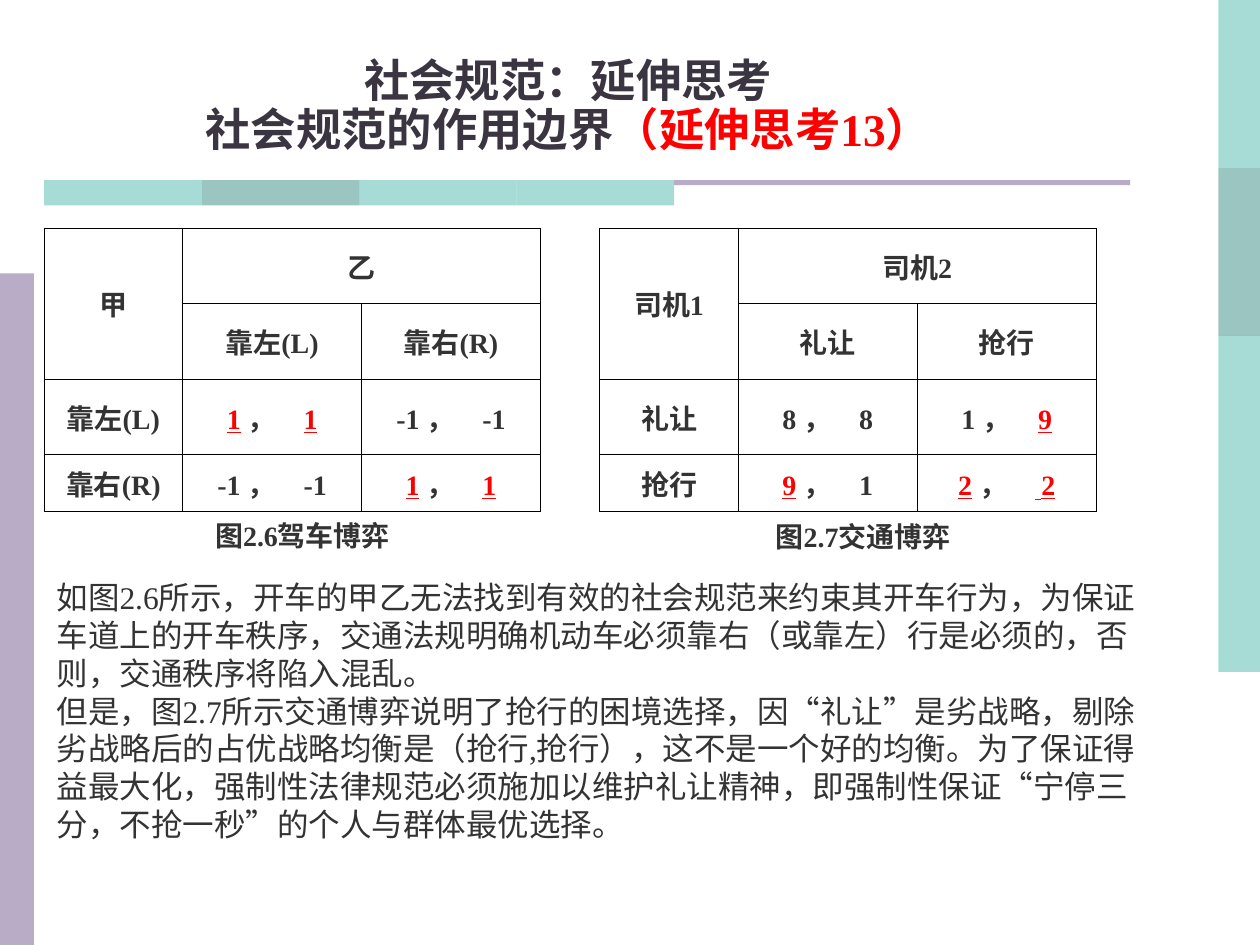
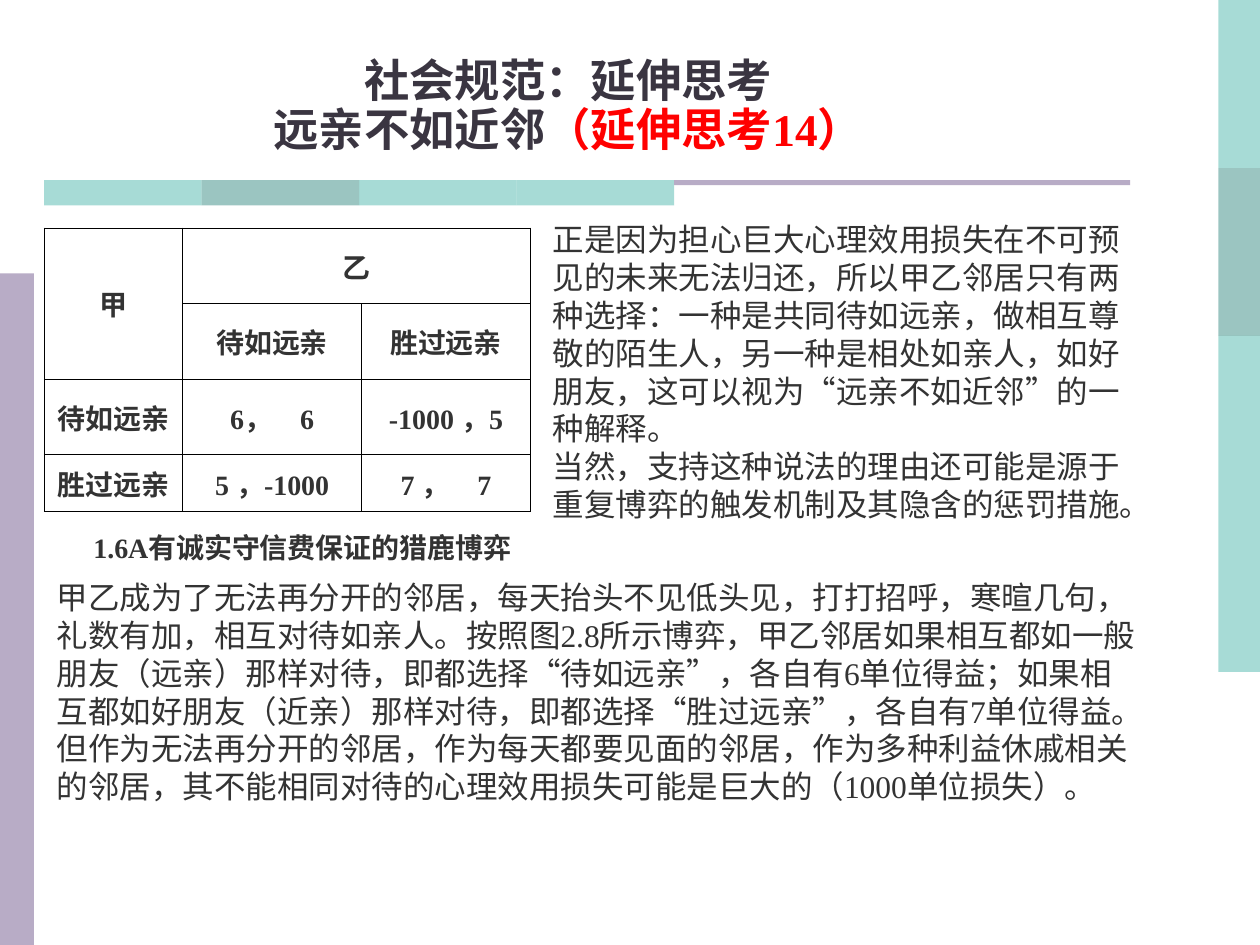
import pptx
import pptx.dml.color
import pptx.enum.shapes
import pptx.enum.text
import pptx.oxml
import pptx.oxml.ns
import pptx.util

Inches, Pt = pptx.util.Inches, pptx.util.Pt
ALIGN, ANCHOR = pptx.enum.text.PP_ALIGN, pptx.enum.text.MSO_ANCHOR

FONT = "Times New Roman"
TEAL, DEEP_TEAL, LILAC = "51B9AF", "398D85", "B8ACC6"
TITLE_INK, INK, RED, BLACK = "3A3541", "333333", "FF0000", "000000"
BAND = [TEAL, DEEP_TEAL, TEAL, TEAL]
ROW_HEIGHTS = [0.6, 0.6, 0.6, 0.45]
BODY_BOX = (0.35, 4.54, 8.82, 2.2)


def rgb(color):
    return pptx.dml.color.RGBColor.from_string(color)


def element(xml):
    return pptx.oxml.parse_xml(xml.replace("NS", pptx.oxml.ns.nsdecls("a"), 1))


def add_bar(slide, box, color, alpha=100):
    sp = slide.shapes.add_shape(
        pptx.enum.shapes.MSO_SHAPE.RECTANGLE, *map(Inches, box))
    sp.shadow.inherit = False
    sp.line.fill.background()
    sp.fill.solid()
    sp.fill.fore_color.rgb = rgb(color)
    if alpha < 100:
        clr = sp.fill._xPr.find(".//" + pptx.oxml.ns.qn("a:srgbClr"))
        clr.append(element(f'<a:alpha NS val="{alpha * 1000}"/>'))


def add_frame(slide):
    """Side bands and the rule under the title."""
    for i, color in enumerate(BAND):
        add_bar(slide, (9.67, i * 4 / 3, 0.33, 4 / 3), color, 50)
        add_bar(slide, (0.35 + i * 1.25, 1.43, 1.25, 0.2), color, 50)
    add_bar(slide, (0, 2.17, 0.27, 5.33), LILAC)
    add_bar(slide, (5.35, 1.43, 3.62, 0.04), LILAC)


def write(p, text, size, color=INK, bold=False, align=ALIGN.LEFT, underline=False):
    """Fill a paragraph; parts between asterisks are red."""
    p.alignment = align
    p.font.name, p.font.size, p.font.bold = FONT, Pt(size), bold
    p.font.color.rgb = rgb(color)
    for i, part in enumerate(text.split("*")):
        if part:
            r = p.add_run()
            r.text = part
            if i % 2:
                r.font.color.rgb = rgb(RED)
                r.font.underline = underline or None


def add_text(slide, box, lines, size, anchor=ANCHOR.TOP, spacing=None, **style):
    tf = slide.shapes.add_textbox(*map(Inches, box)).text_frame
    tf.word_wrap = True
    tf.vertical_anchor = anchor
    for i, line in enumerate(lines):
        p = tf.add_paragraph() if i else tf.paragraphs[0]
        p.line_spacing = spacing
        write(p, line, size, **style)


def add_title(slide, topic):
    add_text(slide, (0, 0.28, 9.02, 1.01), ["社会规范：延伸思考", topic], 25.9,
             ANCHOR.BOTTOM, 0.9, color=TITLE_INK, bold=True, align=ALIGN.CENTER)


def add_caption(slide, box, text):
    add_text(slide, box, [text], 16, ANCHOR.MIDDLE, bold=True, align=ALIGN.CENTER)


def add_borders(cell):
    tcPr = cell._tc.get_or_add_tcPr()
    for i, side in enumerate(["lnL", "lnR", "lnT", "lnB"]):
        tcPr.insert(i, element(
            f'<a:{side} NS w="{Pt(0.45)}"><a:solidFill><a:srgbClr val="{BLACK}"/>'
            f'</a:solidFill></a:{side}>'))


def add_game(slide, left, top, players, moves, payoffs, widths=(1.1, 1.42, 1.42)):
    """Payoff matrix of two players; best responses are marked by asterisks."""
    row_player, column_player = players
    rows = [[row_player, column_player, ""], ["", *moves]]
    rows += [[move, *pair] for move, pair in zip(moves, payoffs)]
    table = slide.shapes.add_table(
        len(rows), len(widths), Inches(left), Inches(top),
        Inches(sum(widths)), Inches(sum(ROW_HEIGHTS))).table
    table.first_row = table.horz_banding = False
    for column, width in zip(table.columns, widths):
        column.width = Inches(width)
    for i, (row, height) in enumerate(zip(rows, ROW_HEIGHTS)):
        table.rows[i].height = Inches(height)
        for j, text in enumerate(row):
            cell = table.cell(i, j)
            cell.fill.background()
            cell.vertical_anchor = ANCHOR.MIDDLE
            add_borders(cell)
            write(cell.text_frame.paragraphs[0], text, 16, bold=True,
                  align=ALIGN.CENTER, underline=True)
    table.cell(0, 0).merge(table.cell(1, 0))
    table.cell(0, 1).merge(table.cell(0, 2))


def new_slide(prs, topic):
    slide = prs.slides.add_slide(prs.slide_layouts[6])
    add_frame(slide)
    add_title(slide, topic)
    return slide


def build_norm_limits(prs):
    slide = new_slide(prs, "社会规范的作用边界*（延伸思考13）*")
    add_game(slide, 0.35, 1.81, ("甲", "乙"), ("靠左(L)", "靠右(R)"),
             [("*1* ，　*1*", "-1 ，　-1"), ("-1 ，　-1", "*1* ，　*1*")])
    add_caption(slide, (0.59, 4.06, 3.62, 0.37), "图2.6驾车博弈")
    add_game(slide, 4.76, 1.81, ("司机1", "司机2"), ("礼让", "抢行"),
             [("8 ，　8", "1 ，　*9*"), ("*9* ，　1", "*2* ，　* 2*")])
    add_caption(slide, (5.63, 4.07, 2.44, 0.37), "图2.7交通博弈")
    add_text(slide, BODY_BOX, [
        "如图2.6所示，开车的甲乙无法找到有效的社会规范来约束其开车行为，为保证车道上的"
        "开车秩序，交通法规明确机动车必须靠右（或靠左）行是必须的，否则，交通秩序将陷入混乱。",
        "但是，图2.7所示交通博弈说明了抢行的困境选择，因“礼让”是劣战略，剔除劣战略后的"
        "占优战略均衡是（抢行,抢行），这不是一个好的均衡。为了保证得益最大化，强制性法律规范"
        "必须施加以维护礼让精神，即强制性保证“宁停三分，不抢一秒”的个人与群体最优选择。",
    ], 18)


def build_neighbours(prs):
    slide = new_slide(prs, "远亲不如近邻*（延伸思考14）*")
    add_game(slide, 0.35, 1.81, ("甲", "乙"), ("待如远亲", "胜过远亲"),
             [("6，　6", "-1000 ，5"), ("5 ，-1000", "7 ，　7")],
             widths=(1.1, 1.42, 1.34))
    add_caption(slide, (0.59, 4.16, 3.62, 0.37), "1.6A有诚实守信费保证的猎鹿博弈")
    add_text(slide, (4.29, 1.7, 4.88, 2.5), [
        "正是因为担心巨大心理效用损失在不可预见的未来无法归还，所以甲乙邻居只有两种选择："
        "一种是共同待如远亲，做相互尊敬的陌生人，另一种是相处如亲人，如好朋友，"
        "这可以视为“远亲不如近邻”的一种解释。",
        "当然，支持这种说法的理由还可能是源于重复博弈的触发机制及其隐含的惩罚措施。",
    ], 18)
    add_text(slide, BODY_BOX, [
        "甲乙成为了无法再分开的邻居，每天抬头不见低头见，打打招呼，寒暄几句，礼数有加，"
        "相互对待如亲人。按照图2.8所示博弈，甲乙邻居如果相互都如一般朋友（远亲）那样对待，"
        "即都选择“待如远亲”，各自有6单位得益；如果相互都如好朋友（近亲）那样对待，"
        "即都选择“胜过远亲”，各自有7单位得益。但作为无法再分开的邻居，作为每天都要见面的"
        "邻居，作为多种利益休戚相关的邻居，其不能相同对待的心理效用损失可能是巨大的"
        "（1000单位损失）。",
    ], 18)


def main():
    prs = pptx.Presentation()
    prs.slide_width, prs.slide_height = Inches(10), Inches(7.5)
    build_norm_limits(prs)
    build_neighbours(prs)
    prs.save("out.pptx")


if __name__ == "__main__":
    main()
